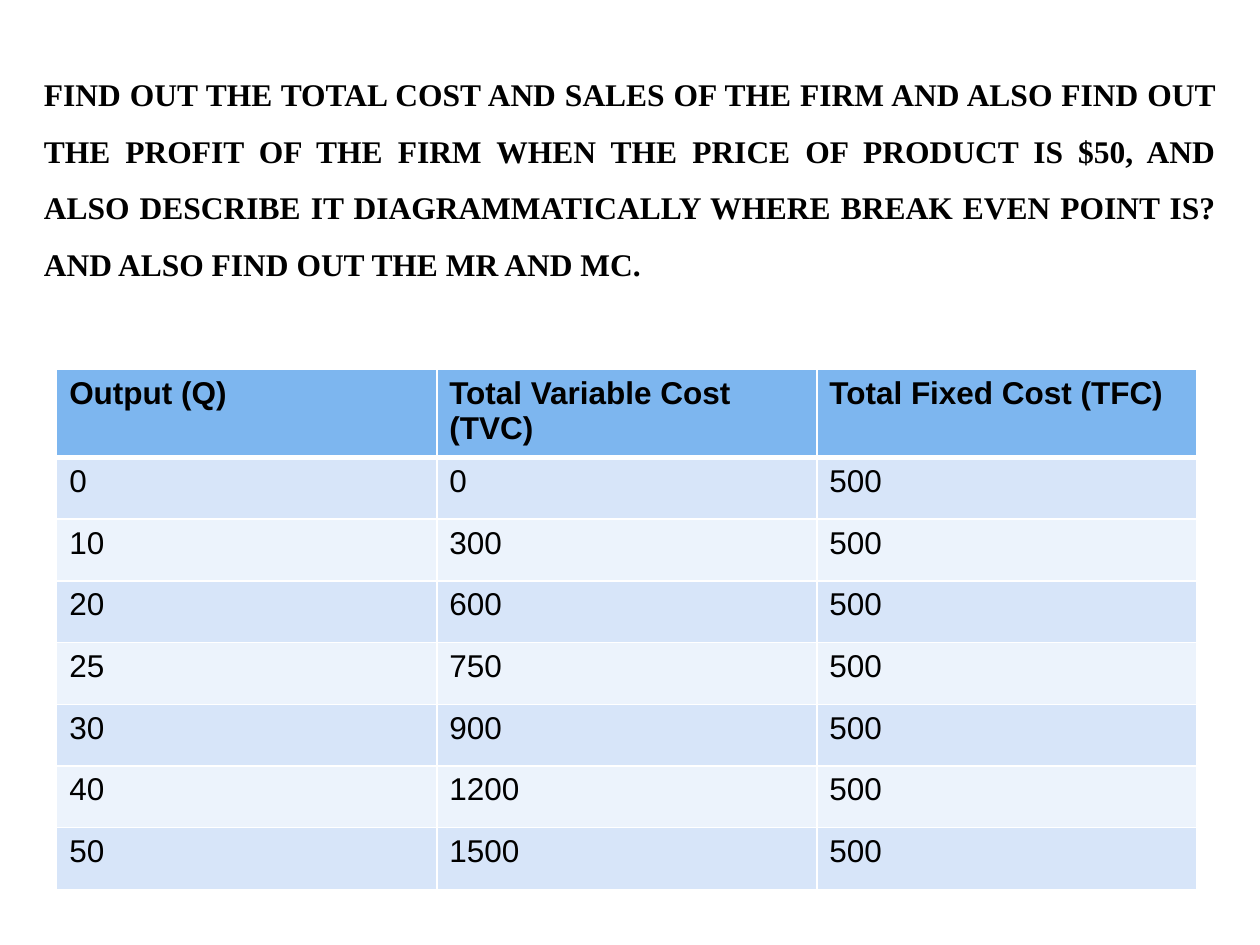
from dataclasses import dataclass

from lxml import etree
from pptx import Presentation
from pptx.dml.color import RGBColor
from pptx.enum.text import MSO_ANCHOR, PP_ALIGN
from pptx.oxml.ns import qn
from pptx.util import Inches, Pt

JUSTIFY = PP_ALIGN.JUSTIFY
MIDDLE = MSO_ANCHOR.MIDDLE


@dataclass(frozen=True)
class Theme:
    serif: str = "Times New Roman"
    sans: str = "Arial"
    size: int = 18
    ink: str = "000000"
    head: str = "7DB6EF"
    bands: tuple = ("D7E5F9", "ECF3FC")
    rule: str = "FFFFFF"
    thin: int = 1
    thick: int = 3


THEME = Theme()

TASK = (
    "FIND OUT THE TOTAL COST AND SALES OF THE FIRM AND ALSO FIND OUT "
    "THE PROFIT OF THE FIRM WHEN THE PRICE OF PRODUCT IS $50, AND ALSO "
    "DESCRIBE IT DIAGRAMMATICALLY WHERE BREAK EVEN POINT IS? "
    "AND ALSO FIND OUT THE MR AND MC. "
)
HEADS = ("Output (Q)", "Total Variable Cost (TVC)", "Total Fixed Cost (TFC)")
OUTPUT = (0, 10, 20, 25, 30, 40, 50)
UNIT = 30
FIXED = 500


def style(para, face, bold):
    for run in para.runs:
        font = run.font
        font.name = face
        font.size = Pt(THEME.size)
        font.bold = bold
        font.color.rgb = RGBColor.from_string(THEME.ink)


def add_title(slide):
    box = slide.shapes.add_textbox(
        Inches(0.25), Inches(0.6), Inches(9.5), Inches(1.49)
    )
    frame = box.text_frame
    frame.word_wrap = True
    frame.vertical_anchor = MIDDLE
    frame.text = TASK
    para = frame.paragraphs[0]
    para.alignment = JUSTIFY
    para.line_spacing = 1.5
    style(para, THEME.serif, True)


def add_edge(cell, side, width):
    props = cell._tc.get_or_add_tcPr()
    line = etree.SubElement(props, qn(f"a:{side}"), w=str(Pt(width)))
    fill = etree.SubElement(line, qn("a:solidFill"))
    etree.SubElement(fill, qn("a:srgbClr"), val=THEME.rule)


def fill_cell(cell, text, row):
    is_head = row == 0
    cell.text = str(text)
    style(cell.text_frame.paragraphs[0], THEME.sans, is_head)
    add_edge(cell, "lnL", THEME.thin)
    add_edge(cell, "lnR", THEME.thin)
    add_edge(cell, "lnT", THEME.thick if row == 1 else THEME.thin)
    add_edge(cell, "lnB", THEME.thick if is_head else THEME.thin)
    color = THEME.head if is_head else THEME.bands[(row - 1) % 2]
    cell.fill.solid()
    cell.fill.fore_color.rgb = RGBColor.from_string(color)


def add_costs(slide):
    rows = [HEADS] + [(unit, unit * UNIT, FIXED) for unit in OUTPUT]
    table = slide.shapes.add_table(
        len(rows), len(HEADS),
        Inches(0.45), Inches(2.93), Inches(9.05), Inches(3.92),
    ).table
    for r, row in enumerate(rows):
        for c, text in enumerate(row):
            fill_cell(table.cell(r, c), text, r)


def main():
    deck = Presentation()
    deck.slide_width = Inches(10)
    deck.slide_height = Inches(7.5)
    slide = deck.slides.add_slide(deck.slide_layouts[6])
    add_title(slide)
    add_costs(slide)
    deck.save("out.pptx")


if __name__ == "__main__":
    main()
